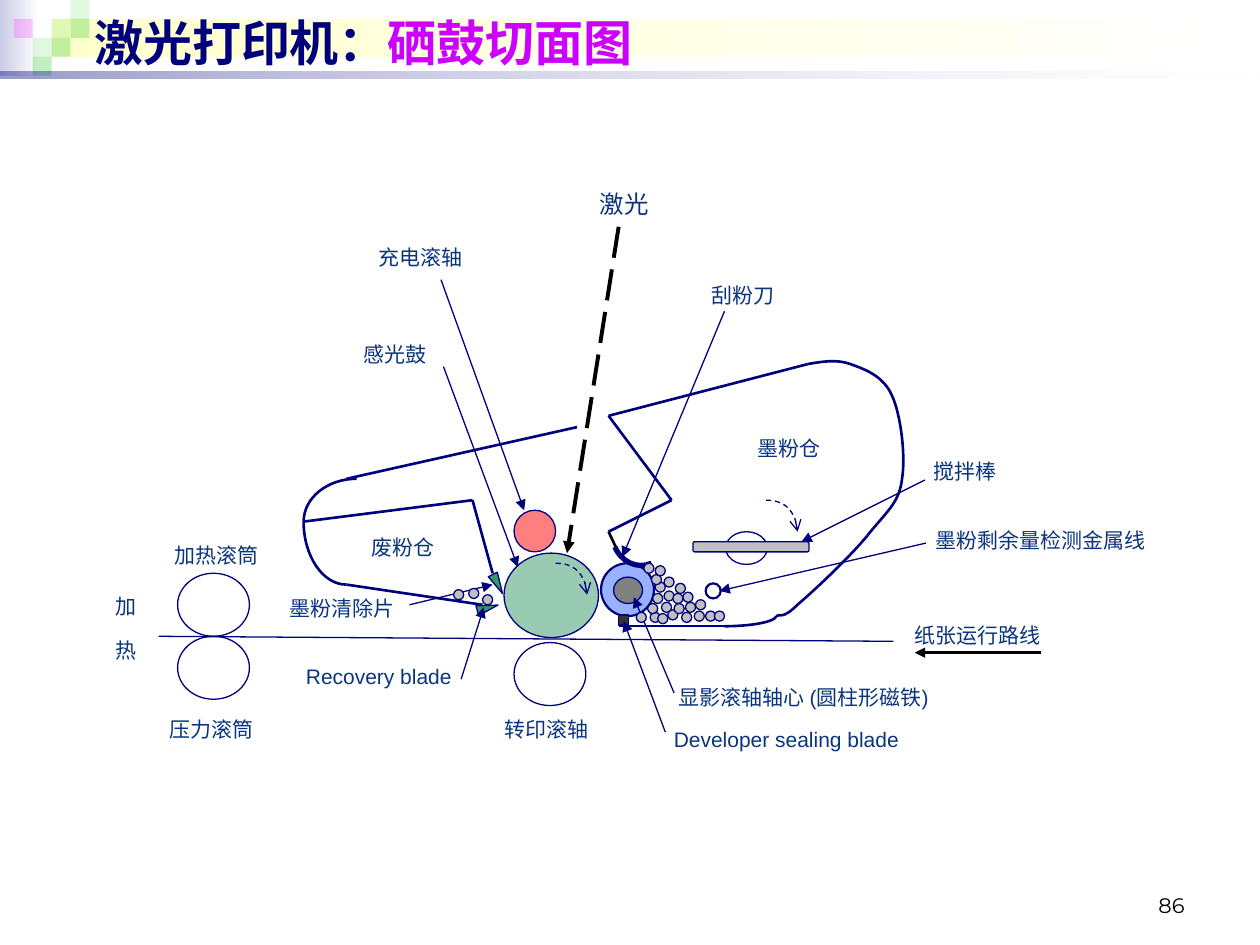
"""Build the slide showing a cross-section of a laser printer toner cartridge."""
from lxml import etree
from pptx import Presentation
from pptx.dml.color import RGBColor
from pptx.enum.dml import MSO_LINE
from pptx.enum.shapes import MSO_CONNECTOR, MSO_SHAPE
from pptx.enum.text import MSO_ANCHOR, PP_ALIGN
from pptx.oxml.ns import qn
from pptx.util import Inches, Pt

RECTANGLE, ROUNDED, ELLIPSE = MSO_SHAPE.RECTANGLE, MSO_SHAPE.ROUNDED_RECTANGLE, MSO_SHAPE.OVAL
MERGE, EXTRACT = MSO_SHAPE.FLOWCHART_MERGE, MSO_SHAPE.FLOWCHART_EXTRACT
PARTICLE = MSO_SHAPE.FLOWCHART_CONNECTOR
STRAIGHT = MSO_CONNECTOR.STRAIGHT
DASH, LONG_DASH = MSO_LINE.DASH, MSO_LINE.LONG_DASH
MIDDLE, BOTTOM = MSO_ANCHOR.MIDDLE, MSO_ANCHOR.BOTTOM
CENTER, RIGHT = PP_ALIGN.CENTER, PP_ALIGN.RIGHT

THEME = {
    "navy": "00007D", "label": "0A357E", "magenta": "CC00FF", "black": "000000",
    "white": "FFFFFF", "lavender": "CCCCE6", "cream": "FFFFCC", "lime": "33CC33",
    "pink": "FF00FF", "green": "339966", "red": "FF0000", "blue": "3366FF",
    "silver": "C0C0C0", "gray": "808080", "charcoal": "333333",
    "font": "Arial", "number_font": "Montserrat",
    "title_size": 28, "laser_size": 14, "label_size": 12,
    "thin": 0.75, "medium": 1.25, "wall": 1.5, "beam": 2.25, "blade": 3,
}

presentation = Presentation()
presentation.slide_width, presentation.slide_height = Inches(10), Inches(7.5)
COLUMN = presentation.slide_width / 10
ROW = presentation.slide_height / 7.5
slide = presentation.slides.add_slide(presentation.slide_layouts[6])
shapes = slide.shapes


def add_block(kind, left, top, width, height, fills=(), alphas=(), line=None, rotation=0):
    shape = shapes.add_shape(kind, round(left * COLUMN), round(top * ROW),
                             round(width * COLUMN), round(height * ROW))
    shape.shadow.inherit = False
    shape.rotation = rotation
    if len(fills) == 2:
        shape.fill.gradient()
        shape.fill.gradient_angle = 0
        for stop, name in zip(shape.fill.gradient_stops, fills):
            stop.color.rgb = RGBColor.from_string(THEME[name])
    elif fills:
        shape.fill.solid()
        shape.fill.fore_color.rgb = RGBColor.from_string(THEME[fills[0]])
    else:
        shape.fill.background()
    for color, alpha in zip(shape._element.spPr.iter(qn("a:srgbClr")), alphas):
        etree.SubElement(color, qn("a:alpha")).set("val", str(alpha * 1000))
    if line:
        shape.line.color.rgb = RGBColor.from_string(THEME["navy"])
        shape.line.width = Pt(THEME[line])
    else:
        shape.line.fill.background()
    return shape


def add_run(paragraph, text, color="label", size="label_size", font="font", bold=False):
    run = paragraph.add_run()
    run.text = text
    run.font.name = THEME[font]
    run.font.size = Pt(THEME[size])
    run.font.bold = bold
    run.font.color.rgb = RGBColor.from_string(THEME[color])


add_block(RECTANGLE, 0, 0, 0.31, 0.6, ("lavender", "white"))
add_block(RECTANGLE, 0.41, 0.15, 9.55, 0.3, ("cream", "white"))
TILE = 0.15
for column, row, color, alpha in [
    (2, 1, "lime", 15), (3, 0, "lime", 15), (3, 1, "lime", 30), (1, 2, "lime", 15),
    (0, 1, "pink", 20), (2, 2, "lime", 30), (1, 3, "lime", 30),
]:
    add_block(RECTANGLE, 0.11 + column * TILE, row * TILE, TILE, TILE, (color,), (alpha,))
add_block(RECTANGLE, 0, 0.57, 10, 0.05, ("navy", "white"), (40, 10))

for kind, box, fills, alphas, line, rotation in [
    (ELLIPSE, (4, 4.39, 0.75, 0.67), ("green",), (50,), "thin", 0),
    (ELLIPSE, (4.08, 4.05, 0.33, 0.33), ("red",), (50,), "thin", 0),
    (ELLIPSE, (4.77, 4.47, 0.42, 0.42), ("blue",), (50,), "medium", 0),
    (ELLIPSE, (4.87, 4.58, 0.23, 0.21), ("gray",), (), "thin", 0),
    (ELLIPSE, (4.08, 5.1, 0.57, 0.5), (), (), "thin", 0),
    (ELLIPSE, (1.41, 5.05, 0.57, 0.5), (), (), "thin", 0),
    (ELLIPSE, (1.41, 4.55, 0.57, 0.5), (), (), "thin", 0),
    (ELLIPSE, (5.76, 4.22, 0.33, 0.26), (), (), "thin", 0),
    (ROUNDED, (5.5, 4.3, 0.92, 0.08), ("silver",), (), "thin", 0),
    (ELLIPSE, (5.6, 4.63, 0.12, 0.12), (), (), "medium", 0),
    (MERGE, (3.91, 4.55, 0.08, 0.17), ("green",), (), "thin", 333),
    (EXTRACT, (3.83, 4.74, 0.08, 0.17), ("green",), (), "thin", 74.6),
    (RECTANGLE, (4.91, 4.88, 0.08, 0.08), ("charcoal",), (), "thin", 0),
]:
    add_block(kind, *box, fills, alphas, line, rotation)

walls = [
    [(3.83, 4.8), (2.75, 4.64)], [(2.75, 3.8), (4.58, 3.39)],
    [(4.91, 4.97), (5.75, 4.97)], [(4.83, 3.3), (6.41, 2.89)],
    [(2.41, 4.14), (3.75, 3.97)], [(3.91, 4.55), (3.75, 3.97)],
    [(4.83, 4.22), (5.33, 3.97)], [(5.33, 3.97), (4.83, 3.3)],
    [(2.75, 4.64), (2.56, 4.64), (2.41, 4.41), (2.41, 4.14)],
    [(2.83, 3.8), (2.6, 3.8), (2.41, 3.95), (2.41, 4.14)],
    [(5.75, 4.97), (5.98, 4.97), (6.16, 4.93), (6.16, 4.89)],
    [(6.41, 2.89), (6.53, 2.87), (6.64, 2.85), (6.75, 2.89), (6.86, 2.93), (7.01, 2.98),
     (7.08, 3.14), (7.15, 3.29), (7.19, 3.62), (7.16, 3.8), (7.14, 3.98), (7.05, 4.05),
     (6.91, 4.22), (6.78, 4.39), (6.46, 4.69), (6.33, 4.8), (6.21, 4.92), (6.19, 4.87),
     (6.16, 4.89)],
]
pointers = [
    [(3.52, 2.91), (4.11, 4.5)], [(3.5, 2.22), (4.16, 4.05)], [(3.25, 4.8), (3.91, 4.64)],
    [(3.66, 5.39), (3.84, 4.82)], [(5.35, 5.5), (5.03, 4.74)], [(5.75, 2.47), (4.94, 4.42)],
    [(7.34, 3.81), (6.36, 4.3)], [(5.28, 5.81), (4.95, 4.93)], [(7.35, 4.31), (5.71, 4.69)],
]
turns = [[(x, y), (x + 0.14, y), (x + 0.25, y + 0.11), (x + 0.25, y + 0.25)]
         for x, y in [(4.41, 4.47), (6.08, 3.97)]]
strokes = [(points, "navy", "wall", None, None) for points in walls]
strokes += [
    ([(4.91, 1.8), (4.5, 4.39)], "black", "beam", LONG_DASH, "triangle"),
    ([(4.83, 4.22), (4.91, 4.39)], "black", "wall", None, None),
    ([(5.17, 4.47), (5.06, 4.52), (4.93, 4.46), (4.88, 4.34)], "navy", "blade", None, None),
    ([(1.26, 5.05), (7.09, 5.09)], "navy", "thin", None, None),
    ([(8.26, 5.18), (7.26, 5.18)], "black", "wall", None, "triangle"),
]
strokes += [(points, "navy", "thin", DASH, "arrow") for points in turns]
strokes += [(points, "navy", "thin", None, "triangle") for points in pointers]

for points, color, width, dash, arrow in strokes:
    points = [(round(x * COLUMN), round(y * ROW)) for x, y in points]
    if len(points) == 2:
        stroke = shapes.add_connector(STRAIGHT, *points[0], *points[1])
        etree.SubElement(stroke._element.spPr, qn("a:effectLst"))
    else:
        builder = shapes.build_freeform(*points[0])
        builder.add_line_segments(points[1:], close=False)
        stroke = builder.convert_to_shape()
        stroke.shadow.inherit = False
        stroke.fill.background()
        outline = stroke._element.find(".//" + qn("a:path"))
        segments = outline.findall(qn("a:lnTo"))
        for start in range(0, len(segments), 3):
            curve = etree.SubElement(outline, qn("a:cubicBezTo"))
            for segment in segments[start:start + 3]:
                curve.append(segment[0])
                outline.remove(segment)
    stroke.line.color.rgb = RGBColor.from_string(THEME[color])
    stroke.line.width = Pt(THEME[width])
    if dash:
        stroke.line.dash_style = dash
    if arrow:
        etree.SubElement(stroke.line._get_or_add_ln(), qn("a:tailEnd")).set("type", arrow)

for left, top in [
    (5.05, 4.86), (5.16, 4.86), (5.22, 4.87), (5.3, 4.84), (5.35, 4.79), (5.25, 4.78),
    (5.51, 4.85), (5.41, 4.86), (5.14, 4.79), (5.6, 4.85), (5.18, 4.71), (5.67, 4.85),
    (5.2, 4.62), (5.17, 4.56), (5.11, 4.47), (5.27, 4.69), (5.34, 4.71), (5.44, 4.78),
    (5.42, 4.7), (5.52, 4.76), (5.36, 4.63), (5.27, 4.58), (5.2, 4.49),
    (3.6, 4.68), (3.72, 4.67), (3.83, 4.72),
]:
    add_block(PARTICLE, left, top, 0.08, 0.08, ("silver",), (), "thin")

for text, box in [("废粉仓", (2.66, 4.22, 1.08, 0.25)), ("墨粉仓", (5.47, 3.39, 1.58, 0.33))]:
    frame = add_block(ROUNDED, *box).text_frame
    frame.word_wrap = False
    frame.vertical_anchor = MIDDLE
    frame.paragraphs[0].alignment = CENTER
    add_run(frame.paragraphs[0], text)

label, laser = ("label",), ("label", "laser_size")
for box, anchor, alignment, lines in [
    ((0.65, 0.05, 9, 0.57), MIDDLE, None,
     [[("激光打印机：", "navy", "title_size", "font", True),
       ("硒鼓切面图", "magenta", "title_size", "font", True)]]),
    ((7.17, 6.83, 2.33, 0.5), BOTTOM, RIGHT, [[("86", "black", "label_size", "number_font")]]),
    ((4.66, 1.45, 0.67, 0.33), None, None, [[("激光", *laser)]]),
    ((2.91, 1.89, 1.5, 0.3), None, None, [[("充电滚轴", *label)]]),
    ((2.79, 2.66, 1.08, 0.3), None, None, [[("感光鼓", *label)]]),
    ((1.29, 4.26, 1, 0.3), None, None, [[("加热滚筒", *label)]]),
    ((1.25, 5.64, 0.92, 0.3), None, None, [[("压力滚筒", *label)]]),
    ((3.91, 5.64, 1, 0.3), None, None, [[("转印滚轴", *label)]]),
    ((2.2, 4.68, 1.1, 0.3), None, None, [[("墨粉清除片", *label)]]),
    ((2.33, 5.22, 1.5, 0.3), None, None, [[("Recovery blade", *label)]]),
    ((5.29, 5.38, 3.79, 0.3), None, None, [[("显影滚轴轴心 (圆柱形磁铁)", *label)]]),
    ((5.55, 2.19, 1.17, 0.3), None, None, [[("刮粉刀", *label)]]),
    ((7.31, 3.59, 1.33, 0.3), None, None, [[("搅拌棒", *label)]]),
    ((7.16, 4.89, 1.33, 0.3), None, None, [[("纸张运行路线", *label)]]),
    ((5.25, 5.72, 2, 0.3), None, None, [[("Developer sealing blade", *label)]]),
    ((7.33, 4.14, 2, 0.3), None, None, [[("墨粉剩余量检测金属线", *label)]]),
    ((0.75, 4.72, 0.5, 0.64), None, CENTER, [[("加", *label)], [("热", *label)]]),
]:
    left, top, width, height = box
    frame = shapes.add_textbox(round(left * COLUMN), round(top * ROW),
                               round(width * COLUMN), round(height * ROW)).text_frame
    frame.word_wrap = True
    frame.vertical_anchor = anchor
    for index, runs in enumerate(lines):
        paragraph = frame.add_paragraph() if index else frame.paragraphs[0]
        paragraph.alignment = alignment
        if len(lines) > 1:
            paragraph.line_spacing = 0.7
        if index:
            paragraph.space_before = Pt(14.5)
        for run in runs:
            add_run(paragraph, *run)

presentation.save("out.pptx")
